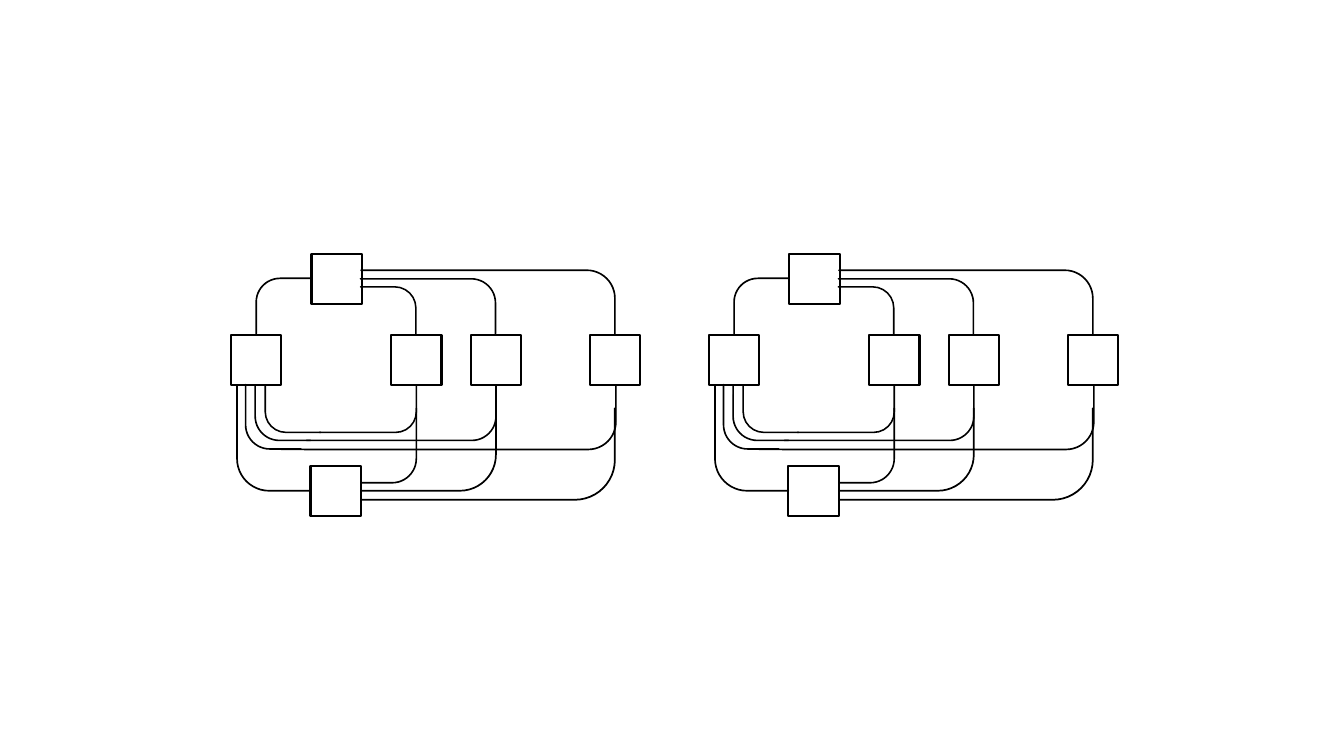
"""Draw two identical circuits of six square nodes joined by rounded wires."""
from typing import NamedTuple

from pptx import Presentation
from pptx.dml.color import RGBColor
from pptx.enum.shapes import MSO_SHAPE as Preset
from pptx.shapes.autoshape import Shape
from pptx.shapes.shapetree import GroupShapes
from pptx.util import Emu, Pt

EMU_PER_PX = 9144
COLORS = {"ink": "000000", "paper": "FFFFFF"}
NODE_SIZE = 50
MIDDLE_ROW = 332
CIRCUIT_OFFSETS = (0, 474)


class Node(NamedTuple):
    left: int
    top: int
    filled: bool = False


class Wire(NamedTuple):
    left: int
    top: int
    width: int
    height: int
    rotation: int
    adjustments: tuple[float, ...] = (0.006, 0.002, 0, 0.438)


NODES = [
    Node(308, 462, filled=True),
    Node(309, 252),
    *(Node(left, MIDDLE_ROW) for left in (229, 388, 467, 585)),
]

WIRES = [
    Wire(254, 276, 54, 55, 0, (0.005, 0.003, 0, 0.438)),
    Wire(452, 174, 64, 252, 90),
    Wire(397, 237, 55, 134, 90),
    Wire(361, 281, 48, 55, 90),
    Wire(267, 378, 47, 55, 270),
    Wire(253, 382, 55, 55, 270),
    Wire(239, 386, 64, 55, 270),
    Wire(317, 382, 96, 47, 180),
    Wire(304, 382, 188, 55, 180),
    Wire(279, 383, 332, 63, 180),
    Wire(358, 405, 55, 74, 180),
    Wire(359, 405, 133, 82, 180),
    Wire(358, 405, 252, 91, 180),
    Wire(219, 398, 105, 73, 270),
]


def px(length: int) -> Emu:
    return Emu(length * EMU_PER_PX)


def color(name: str) -> RGBColor:
    return RGBColor.from_string(COLORS[name])


def add_preset(shapes: GroupShapes, preset: Preset, frame: tuple[int, ...],
               fill: str | None, line_width: float) -> Shape:
    shape = shapes.add_shape(preset, *map(px, frame))
    shape.shadow.inherit = False
    if fill:
        shape.fill.solid()
        shape.fill.fore_color.rgb = color(fill)
    else:
        shape.fill.background()
    shape.line.color.rgb = color("ink")
    shape.line.width = Pt(line_width)
    return shape


def draw_node(shapes: GroupShapes, node: Node, offset: int) -> None:
    frame = (node.left + offset, node.top, NODE_SIZE, NODE_SIZE)
    add_preset(shapes, Preset.RECTANGLE, frame, "paper" if node.filled else None, 1.5)


def draw_wire(shapes: GroupShapes, wire: Wire, offset: int) -> None:
    frame = (wire.left + offset, wire.top, wire.width, wire.height)
    shape = add_preset(shapes, Preset.BENT_ARROW, frame, "ink", 1)
    shape.rotation = wire.rotation
    for index, value in enumerate(wire.adjustments):
        shape.adjustments[index] = value


def main() -> None:
    presentation = Presentation()
    presentation.slide_width, presentation.slide_height = px(1333), px(750)
    slide = presentation.slides.add_slide(presentation.slide_layouts[6])
    for offset in CIRCUIT_OFFSETS:
        circuit = slide.shapes.add_group_shape()
        for node in NODES:
            draw_node(circuit.shapes, node, offset)
        for wire in WIRES:
            draw_wire(circuit.shapes, wire, offset)
    presentation.save("out.pptx")


if __name__ == "__main__":
    main()
